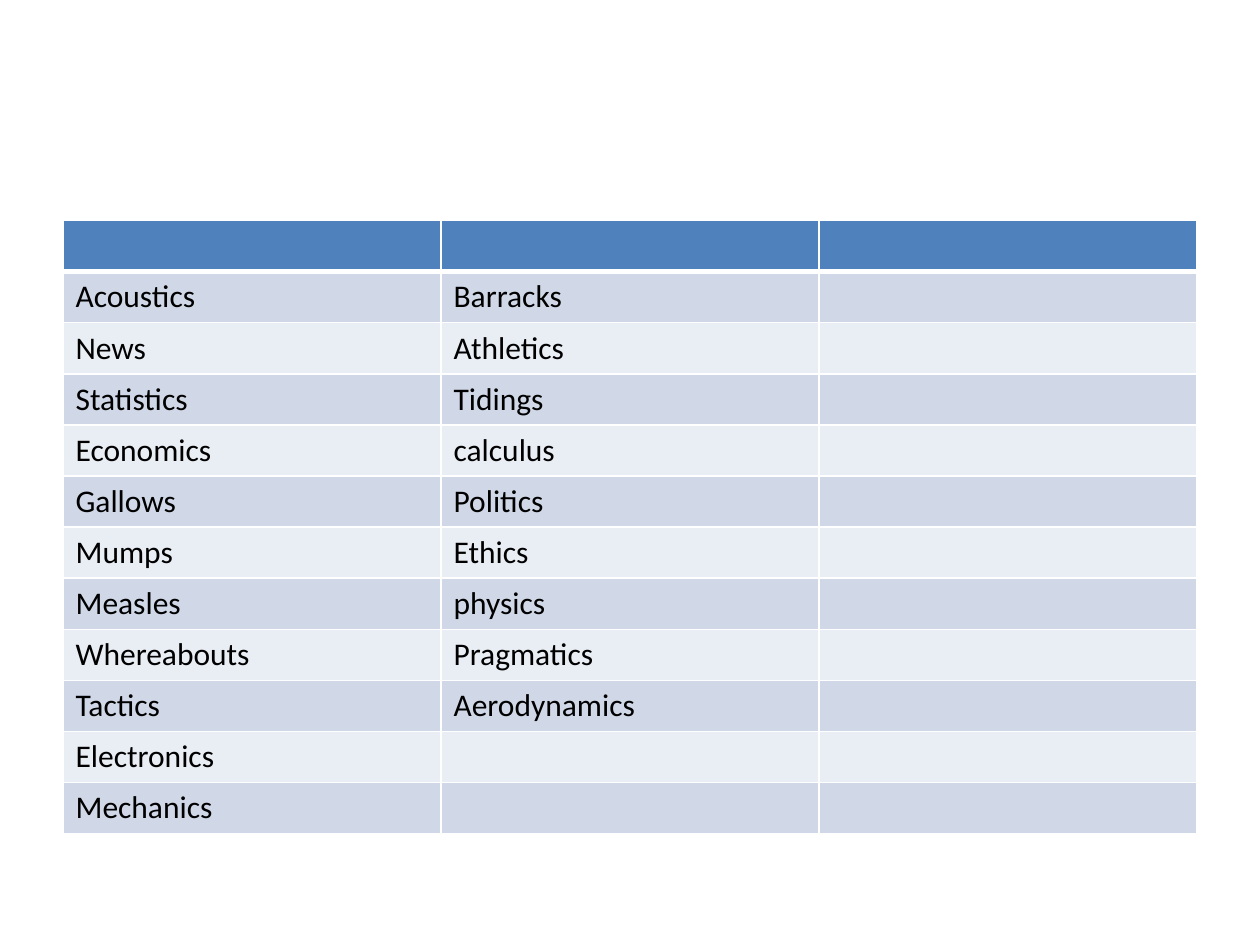
from itertools import zip_longest

from lxml import etree
from pptx import Presentation, util as u
from pptx.dml.color import RGBColor
from pptx.oxml.ns import qn

COLORS = {
    "header": "4F81BD",
    "band_dark": "D0D8E8",
    "band_light": "E9EDF4",
    "border": "FFFFFF",
    "text": "000000",
}
ROW_HEIGHT = 29.2
COLUMN_WIDTH = 216

NOUNS_LEFT = ["Acoustics", "News", "Statistics", "Economics", "Gallows", "Mumps",
              "Measles", "Whereabouts", "Tactics", "Electronics", "Mechanics"]
NOUNS_MIDDLE = ["Barracks", "Athletics", "Tidings", "calculus", "Politics",
                "Ethics", "physics", "Pragmatics", "Aerodynamics"]


class SlideBuilder:
    """Holds the text style and the current slide."""

    def __init__(self, s, font="Calibri", size=18):
        self.s, self.font, self.size = s, font, size

    def border(self, cell, side, width):
        ln = etree.SubElement(cell._tc.get_or_add_tcPr(), qn(f"a:ln{side}"),
                              w=str(u.Pt(width)))
        fill = etree.SubElement(ln, qn("a:solidFill"))
        etree.SubElement(fill, qn("a:srgbClr"), val=COLORS["border"])

    def cell(self, cell, content, fill, bottom=1):
        # Borders come before the fill in the cell properties
        for side, width in zip("LRTB", (1, 1, 1, bottom)):
            self.border(cell, side, width)
        cell.fill.solid()
        cell.fill.fore_color.rgb = RGBColor.from_string(COLORS[fill])
        p = cell.text_frame.paragraphs[0]
        p.text = content
        p.font.size = u.Pt(self.size)
        for r in p.runs:
            r.font.name = self.font
            r.font.size = u.Pt(self.size)
            r.font.color.rgb = RGBColor.from_string(COLORS["text"])

    def table(self, rows, left, top):
        n_rows, n_cols = len(rows), len(rows[0])
        table = self.s.shapes.add_table(
            n_rows, n_cols, u.Pt(left), u.Pt(top),
            u.Pt(n_cols * COLUMN_WIDTH), u.Pt(n_rows * ROW_HEIGHT)).table
        for row in table.rows:
            row.height = u.Pt(ROW_HEIGHT)
        for i, row in enumerate(rows):
            fill = "header" if i == 0 else ("band_light", "band_dark")[i % 2]
            for j, content in enumerate(row):
                self.cell(table.cell(i, j), content, fill, bottom=3 if i == 0 else 1)


def main():
    prs = Presentation()
    prs.slide_width, prs.slide_height = u.Pt(720), u.Pt(540)
    slide = SlideBuilder(prs.slides.add_slide(prs.slide_layouts[6]))

    # Noun table: empty header row and empty third column
    nouns = zip_longest(NOUNS_LEFT, NOUNS_MIDDLE, fillvalue="")
    rows = [("", "", "")] + [(left, middle, "") for left, middle in nouns]
    slide.table(rows, left=36, top=126)

    prs.save("out.pptx")


if __name__ == "__main__":
    main()
